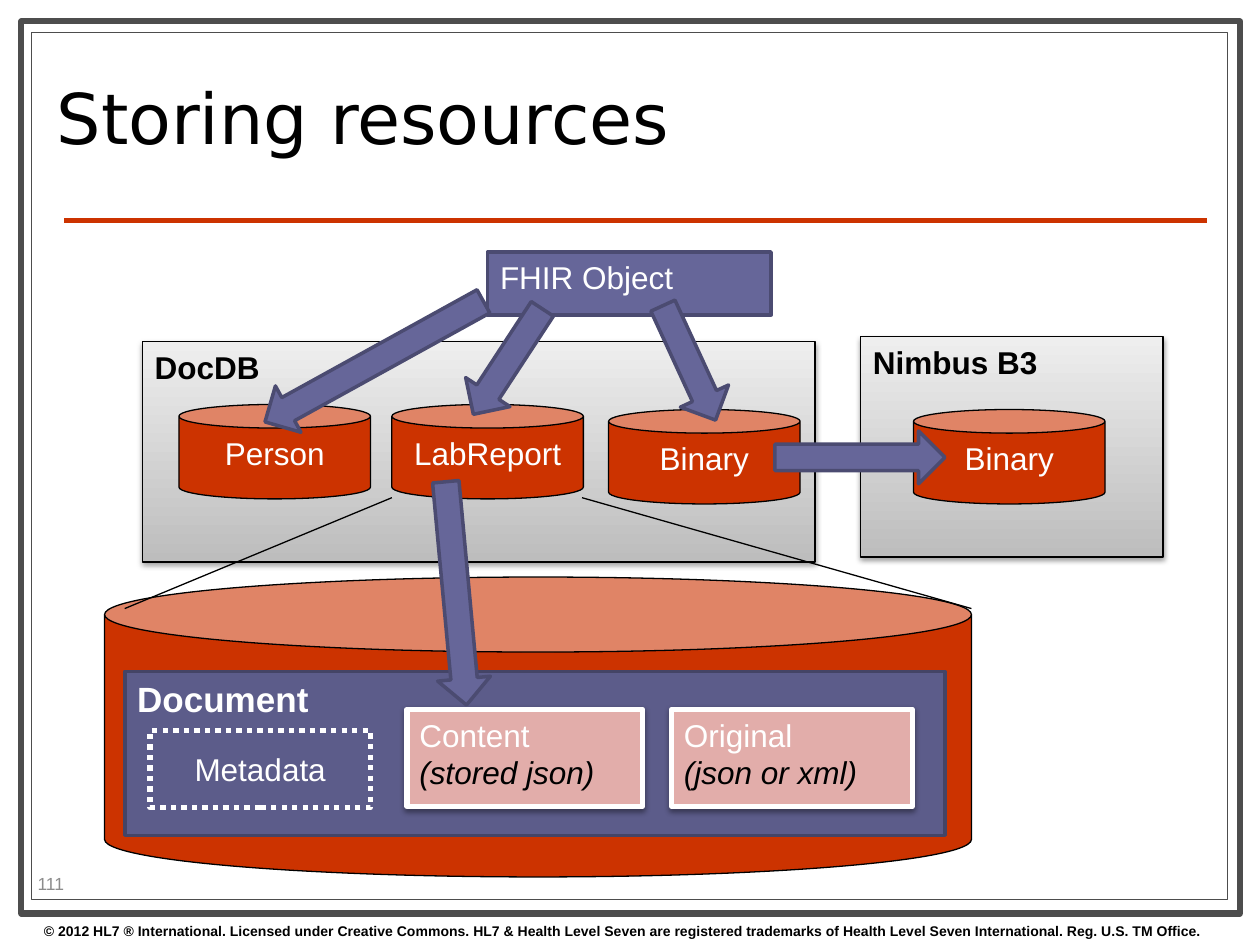
from lxml import etree
from pptx import Presentation
from pptx.dml.color import RGBColor
from pptx.enum.dml import MSO_LINE
from pptx.enum.shapes import MSO_CONNECTOR, MSO_SHAPE
from pptx.enum.text import MSO_ANCHOR, PP_ALIGN
from pptx.oxml import parse_xml
from pptx.oxml.ns import qn
from pptx.util import Inches, Pt

RECT, CAN, ARROW = MSO_SHAPE.RECTANGLE, MSO_SHAPE.CAN, MSO_SHAPE.RIGHT_ARROW
LEFT, CENTER = PP_ALIGN.LEFT, PP_ALIGN.CENTER
TOP, MIDDLE = MSO_ANCHOR.TOP, MSO_ANCHOR.MIDDLE
STRAIGHT, DOTS = MSO_CONNECTOR.STRAIGHT, MSO_LINE.ROUND_DOT

COLORS = {
    "white": "FFFFFF", "black": "000000", "frame": "4D4D4D", "red": "CC3300",
    "blue": "666699", "edge": "4B4B71", "doc": "5C5C8A", "rim": "444466",
    "pink": "E2ADAA", "low": "BDBDBD", "high": "EEEEEE", "gray": "8C8C8C",
}
RGB = {name: RGBColor.from_string(code) for name, code in COLORS.items()}
SHADOW = (
    '<a:effectLst xmlns:a="http://schemas.openxmlformats.org/drawingml/2006/main">'
    '<a:outerShdw blurRad="40000" dist="20000" dir="5400000" rotWithShape="0">'
    '<a:srgbClr val="000000"><a:alpha val="38000"/></a:srgbClr>'
    '</a:outerShdw></a:effectLst>'
)

deck = Presentation()
deck.slide_width, deck.slide_height = Inches(10), Inches(7.5)
slide = deck.slides.add_slide(deck.slide_layouts[5])
shapes = slide.shapes


def write(shape, text, size=18, color="white", bold=False, align=LEFT, anchor=TOP):
    frame = shape.text_frame
    frame.word_wrap = True
    frame.vertical_anchor = anchor
    frame.text = text
    for para in frame.paragraphs:
        para.alignment = align
        for run in para.runs:
            run.font.name = "Arial"
            run.font.size = Pt(size)
            run.font.bold = bold
            run.font.color.rgb = RGB[color]


def draw(kind, box, fill, edge, width, shade=False):
    shape = shapes.add_shape(kind, *map(Inches, box))
    shape.shadow.inherit = False
    if shade:
        props = shape._element.spPr
        props.replace(props.find(qn("a:effectLst")), parse_xml(SHADOW))
    if fill == "fade":
        shape.fill.gradient()
        shape.fill.gradient_angle = 90
        for stop, tone in zip(shape.fill.gradient_stops, ("low", "high")):
            stop.color.rgb = RGB[tone]
    elif fill:
        shape.fill.solid()
        shape.fill.fore_color.rgb = RGB[fill]
    else:
        shape.fill.background()
    shape.line.color.rgb = RGB[edge]
    shape.line.width = Pt(width)
    return shape


draw(RECT, (0.17, 0.17, 9.67, 7.08), "white", "frame", 3.5)
draw(RECT, (0.25, 0.26, 9.49, 6.88), "white", "frame", 0.75)

title = shapes.title
shapes._spTree.append(title._element)
title.left, title.top = Inches(0.35), Inches(0.36)
title.width, title.height = Inches(7.17), Inches(1.26)
write(title, "Storing resources", 40, "black", anchor=MIDDLE)
head = title.text_frame.paragraphs[0]
head.line_spacing = 0.8
head.runs[0].font.name = "DejaVu Sans"

legal = shapes.add_textbox(Inches(0.25), Inches(7.27), Inches(10), Inches(0.23))
write(legal, "© 2012 HL7 ® International. Licensed under Creative Commons. "
      "HL7 & Health Level Seven are registered trademarks of "
      "Health Level Seven International. Reg. U.S. TM Office.", 8, "black", True)
number = shapes.add_textbox(Inches(0.2), Inches(6.89), Inches(0.79), Inches(0.24))
write(number, "111", 10, "gray", anchor=MIDDLE)

source = draw(RECT, (3.87, 2, 2.25, 0.5), "blue", "edge", 2)
write(source, "FHIR Object")

for name, box in (("Nimbus B3", (6.83, 2.67, 2.4, 1.75)),
                  ("DocDB", (1.13, 2.71, 5.34, 1.75))):
    store = draw(RECT, box, "fade", "black", 0.75, True)
    write(store, name, color="black", bold=True)

for name, left, top in (("Person", 1.42, 3.21), ("LabReport", 3.11, 3.21),
                        ("Binary", 4.83, 3.25), ("Binary", 7.25, 3.25)):
    can = draw(CAN, (left, top, 1.52, 0.75), "red", "black", 0.75)
    write(can, name, align=CENTER)

draw(CAN, (0.83, 4.58, 6.88, 2.38), "red", "black", 0.75)

for start, end, color, width in (((0.51, 1.75), (9.58, 1.75), "red", 3),
                                 ((3.11, 3.95), (0.99, 4.83), "black", 0.75),
                                 ((4.62, 3.95), (7.71, 4.83), "black", 0.75)):
    line = shapes.add_connector(STRAIGHT, *map(Inches, start + end))
    line.line.color.rgb = RGB[color]
    line.line.width = Pt(width)
    etree.SubElement(line._element.spPr, qn("a:effectLst"))

paper = draw(RECT, (0.99, 5.33, 6.51, 1.3), "doc", "rim", 2)
write(paper, "Document", 20, bold=True)

for text, left, width in (("Content\n(stored json)", 3.23, 1.87),
                          ("Original\n(json or xml)", 5.33, 1.91)):
    part = draw(RECT, (left, 5.63, width, 0.77), "pink", "white", 3, True)
    write(part, text)
    note = part.text_frame.paragraphs[1].runs[0].font
    note.color.rgb = RGB["black"]
    note.italic = True

meta = draw(RECT, (1.19, 5.8, 1.75, 0.61), None, "white", 3)
meta.line.dash_style = DOTS
write(meta, "Metadata", align=CENTER, anchor=MIDDLE)

for left, top, width, turn in ((3.53, 2.66, 1, 123.2), (4.97, 2.67, 1, 65.3),
                               (1.98, 2.66, 1.98, 151.1), (2.73, 4.5, 1.78, 84.7),
                               (6.15, 3.42, 1.35, 0)):
    arrow = draw(ARROW, (left, top, width, 0.42), "blue", "edge", 2)
    arrow.rotation = turn

deck.save("out.pptx")
